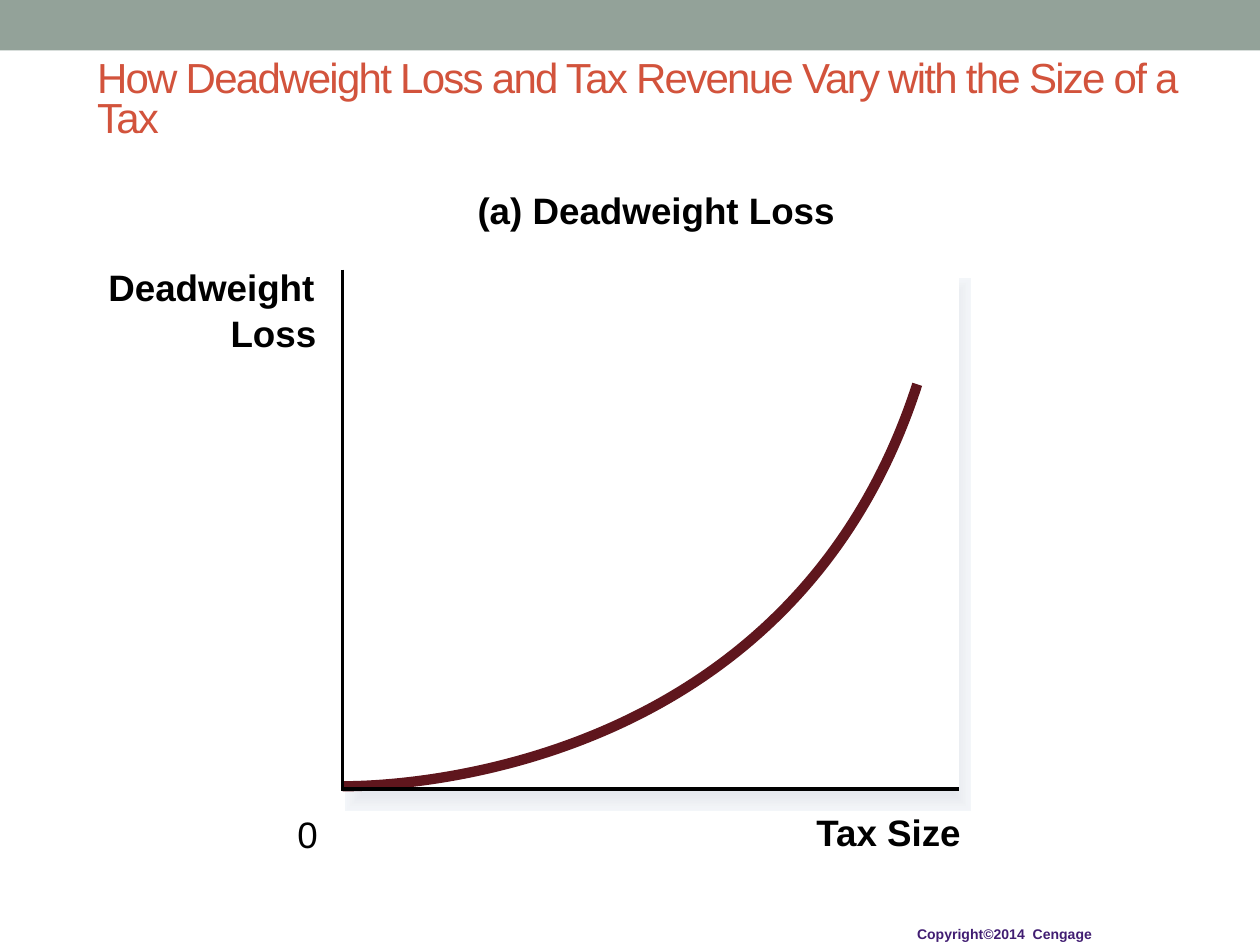
from dataclasses import dataclass

from lxml import etree
from pptx import Presentation
from pptx import util as u
from pptx.dml.color import RGBColor
from pptx.enum import shapes, text
from pptx.oxml.ns import qn

CELL = 0.1
COLUMNS, ROWS = 100, 75
FONT = "Arial"
COLOURS = {
    "band": "93A299",
    "title": "D2533C",
    "paper": "FFFFFF",
    "curve": "5F161D",
    "ink": "000000",
    "copyright": "411D72",
}
SHADOW_LAYERS = {
    "F3F6F9": 21.63, "F2F4F8": 19.63, "F1F4F7": 17.75, "F0F2F5": 15.75,
    "EEF1F4": 13.75, "EDEFF3": 11.75, "EBEEF2": 9.88, "EAECF1": 7.88,
    "E9EBF0": 5.88, "E7EAEF": 3.88, "E6E9EF": 2,
}


@dataclass
class Area:
    column: float
    row: float
    columns: float
    rows: float

    def lengths(self) -> list[int]:
        return [cells(n) for n in (self.column, self.row, self.columns, self.rows)]


@dataclass
class Label:
    words: str
    area: Area
    size: float = 21
    bold: bool = True
    colour: str = "ink"
    inset: float = 0


PLOT = Area(27.2, 21.4, 48.9, 41.2)
SHADOW = Area(28.9, 23.6, 46.7, 39.3)
CURVE = [(27.2, 62.4), (35.4, 62.4), (63.5, 59.3), (72.8, 30.5)]
AXES = [
    (PLOT.column, PLOT.row),
    (PLOT.column, PLOT.row + PLOT.rows),
    (PLOT.column + PLOT.columns, PLOT.row + PLOT.rows),
]
LABELS = [
    Label("(a) Deadweight Loss", Area(37.9, 14.9, 28.6, 3.5)),
    Label("Deadweight", Area(8.6, 21, 16.6, 3.5)),
    Label("Loss", Area(18.3, 24.7, 7.2, 3.5)),
    Label("0", Area(23.6, 64.4, 1.8, 3.5), bold=False),
    Label("Tax Size", Area(64.8, 64.3, 11.7, 3.5)),
    Label("Copyright©2014  Cengage", Area(71.8, 73, 16, 2.4), 8,
          colour="copyright", inset=1),
]


def cells(count: float) -> int:
    return u.Inches(count * CELL)


def colour_of(value: str) -> RGBColor:
    return RGBColor.from_string(COLOURS.get(value, value))


def style_line(shape, colour: str, width: float) -> None:
    shape.line.color.rgb = colour_of(colour)
    shape.line.width = u.Pt(width)
    etree.SubElement(shape.line._get_or_add_ln(), qn("a:miter"), lim="800000")


def draw_panel(page, area: Area, colour: str, line_width: float = 0) -> None:
    panel = page.shapes.add_shape(shapes.MSO_SHAPE.RECTANGLE, *area.lengths())
    panel.shadow.inherit = False
    panel.fill.solid()
    panel.fill.fore_color.rgb = colour_of(colour)
    if line_width:
        style_line(panel, colour, line_width)
    else:
        panel.line.fill.background()


def draw_path(page, points: list[tuple], colour: str, width: float):
    start, *others = [(cells(column), cells(row)) for column, row in points]
    builder = page.shapes.build_freeform(*start)
    builder.add_line_segments(others, close=False)
    outline = builder.convert_to_shape()
    outline.shadow.inherit = False
    outline.fill.background()
    style_line(outline, colour, width)
    return outline


def bend(outline) -> None:
    path = outline._element.find(".//" + qn("a:path"))
    bezier = etree.SubElement(path, qn("a:cubicBezTo"))
    for segment in path.findall(qn("a:lnTo")):
        bezier.append(segment[0])
        path.remove(segment)


def format_span(span, size: float, colour: str, bold: bool) -> None:
    span.font.name = FONT
    span.font.size = u.Pt(size)
    span.font.bold = bold
    span.font.color.rgb = colour_of(colour)


def draw_label(page, label: Label) -> None:
    frame = page.shapes.add_textbox(*label.area.lengths()).text_frame
    frame.margin_left = frame.margin_right = cells(label.inset)
    frame.margin_top = frame.margin_bottom = cells(label.inset / 2)
    frame.word_wrap = False
    frame.auto_size = text.MSO_AUTO_SIZE.SHAPE_TO_FIT_TEXT
    frame.text = label.words
    format_span(frame.paragraphs[0].runs[0], label.size, label.colour, label.bold)


def set_title(page, words: str, area: Area) -> None:
    title = page.shapes.title
    title.left, title.top, title.width, title.height = area.lengths()
    frame = title.text_frame
    frame.text = words
    frame.word_wrap = True
    frame.auto_size = text.MSO_AUTO_SIZE.NONE
    frame.vertical_anchor = text.MSO_ANCHOR.MIDDLE
    para = frame.paragraphs[0]
    para.alignment = text.PP_ALIGN.LEFT
    para.line_spacing = 0.8
    span = para.runs[0]
    format_span(span, 24, "title", False)
    span.font._element.set("spc", "-100")


def main() -> None:
    deck = Presentation()
    deck.slide_width, deck.slide_height = cells(COLUMNS), cells(ROWS)
    page = deck.slides.add_slide(deck.slide_layouts[5])
    set_title(page, "How Deadweight Loss and Tax Revenue Vary with the Size of a Tax",
              Area(6.7, 4.3, 90, 7.5))
    draw_panel(page, Area(0, 0, COLUMNS, 4), "band")
    for colour, width in SHADOW_LAYERS.items():
        draw_panel(page, SHADOW, colour, width)
    draw_panel(page, PLOT, "paper")
    bend(draw_path(page, CURVE, "curve", 5.88))
    draw_path(page, AXES, "ink", 2)
    for label in LABELS:
        draw_label(page, label)
    deck.save("out.pptx")


if __name__ == "__main__":
    main()
